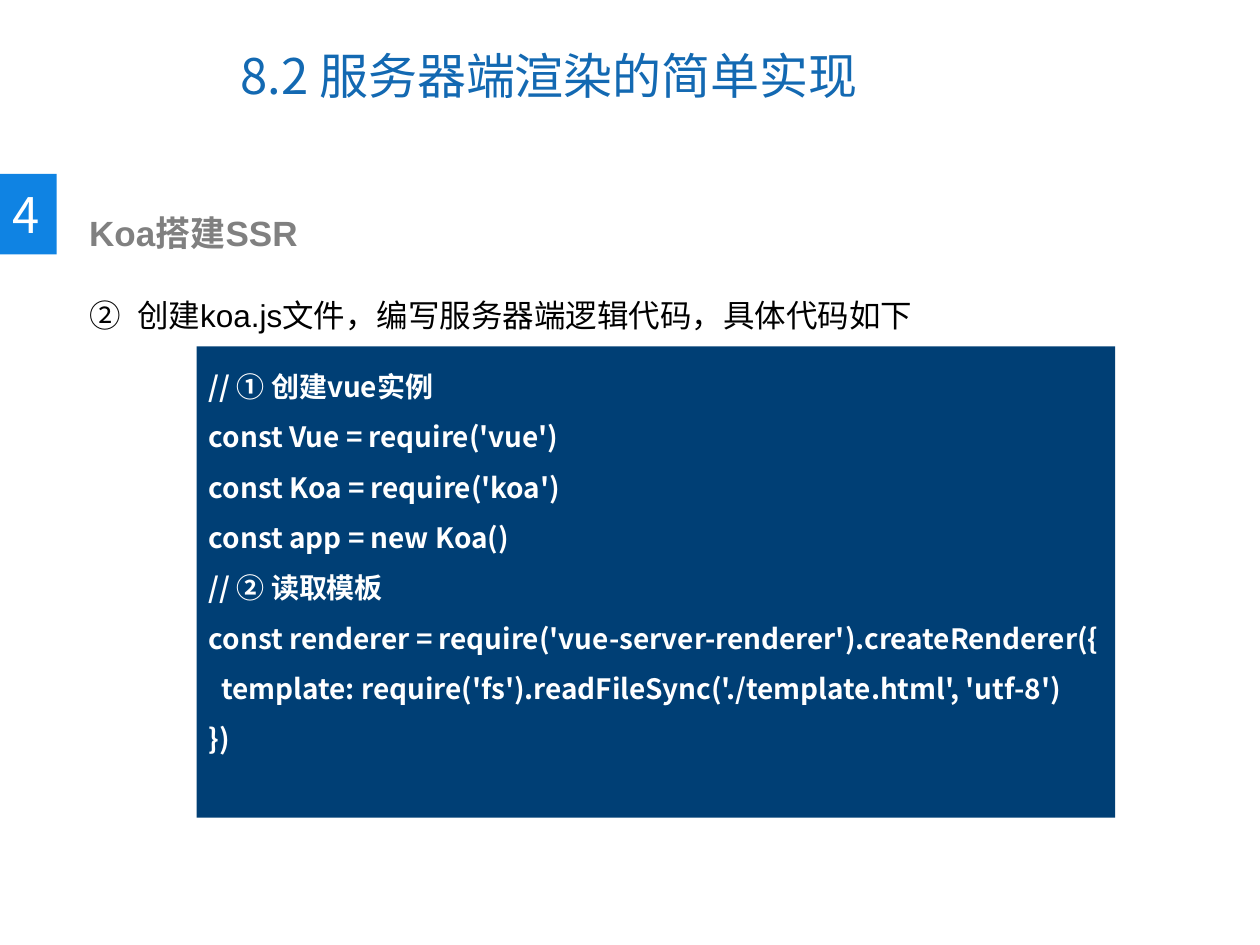
from dataclasses import dataclass

from lxml.etree import SubElement
from pptx import Presentation
from pptx.dml.color import RGBColor
from pptx.enum.shapes import MSO_SHAPE
from pptx.enum.text import MSO_ANCHOR, PP_ALIGN
from pptx.oxml.ns import qn
from pptx.util import Inches, Pt


@dataclass(frozen=True)
class Theme:
    sans: str = "Arial"
    cjk: str = "Noto Sans CJK SC"
    title: str = "1369B2"
    badge: str = "0F83E3"
    heading: str = "808080"
    body: str = "000000"
    code_bg: str = "003F75"
    white: str = "FFFFFF"
    title_pt: int = 28
    heading_pt: int = 20
    body_pt: int = 18
    code_pt: int = 16


@dataclass(frozen=True)
class Style:
    font: str
    size: int
    color: str
    bold: bool = False
    spacing: float = 1.0


@dataclass(frozen=True)
class Box:
    left: float
    top: float
    width: float
    height: float
    fill: str = ""
    anchor: MSO_ANCHOR = MSO_ANCHOR.TOP


T = Theme()
TITLE = Style(T.cjk, T.title_pt, T.title)
BADGE = Style(T.cjk, T.title_pt, T.white)
HEADING = Style(T.sans, T.heading_pt, T.heading, bold=True)
STEP = Style(T.sans, T.body_pt, T.body, spacing=2.0)
CODE = Style(T.cjk, T.code_pt, T.white, bold=True, spacing=1.5)

CODE_LINES = [
    "// ① 创建vue实例",
    "const Vue = require('vue')",
    "const Koa = require('koa')",
    "const app = new Koa()",
    "// ② 读取模板",
    "const renderer = require('vue-server-renderer').createRenderer({",
    "template: require('fs').readFileSync('./template.html', 'utf-8')",
    "})",
]


def set_indent(p, left: float, first: float = 0) -> None:
    pPr = p._p.get_or_add_pPr()
    pPr.set("marL", str(Inches(left)))
    pPr.set("indent", str(Inches(first)))


def number_circled(p, start: int) -> None:
    set_indent(p, 0.38, -0.38)
    bullet = SubElement(p._p.get_or_add_pPr(), qn("a:buAutoNum"))
    bullet.set("type", "circleNumDbPlain")
    bullet.set("startAt", str(start))


def add_block(s, box: Box, lines: list[str], style: Style):
    """Add a text box, or a filled rectangle when the box has a fill."""
    at = [Inches(v) for v in (box.left, box.top, box.width, box.height)]
    if box.fill:
        sp = s.shapes.add_shape(MSO_SHAPE.RECTANGLE, *at)
        sp.shadow.inherit = False
        sp.fill.solid()
        sp.fill.fore_color.rgb = RGBColor.from_string(box.fill)
        sp.line.fill.background()
    else:
        sp = s.shapes.add_textbox(*at)
    tf = sp.text_frame
    tf.word_wrap = True
    tf.vertical_anchor = box.anchor
    for i, line in enumerate(lines):
        p = tf.add_paragraph() if i else tf.paragraphs[0]
        p.alignment = PP_ALIGN.LEFT
        p.line_spacing = style.spacing
        r = p.add_run()
        r.text = line
        r.font.name = style.font
        r.font.size = Pt(style.size)
        r.font.bold = style.bold
        r.font.color.rgb = RGBColor.from_string(style.color)
        SubElement(r._r.get_or_add_rPr(), qn("a:ea")).set("typeface", T.cjk)
    return tf


def main() -> None:
    prs = Presentation()
    prs.slide_width, prs.slide_height = Inches(10), Inches(7.5)
    s = prs.slides.add_slide(prs.slide_layouts[6])

    # Title
    add_block(s, Box(1.81, 0.17, 5.16, 0.85, anchor=MSO_ANCHOR.MIDDLE),
              ["8.2 服务器端渲染的简单实现"], TITLE)

    # Numbered section heading
    add_block(s, Box(0, 1.38, 0.45, 0.64, T.badge, MSO_ANCHOR.MIDDLE),
              ["4"], BADGE)
    add_block(s, Box(0.61, 1.63, 5, 0.44), ["Koa搭建SSR"], HEADING)

    # Step
    tf = add_block(s, Box(0.61, 2, 8.82, 0.61),
                   ["创建koa.js文件，编写服务器端逻辑代码，具体代码如下"], STEP)
    number_circled(tf.paragraphs[0], 2)

    # Code panel, with the renderer option indented
    tf = add_block(s, Box(1.56, 2.75, 7.29, 3.74, T.code_bg), CODE_LINES, CODE)
    set_indent(tf.paragraphs[6], 0.1)

    prs.save("out.pptx")


if __name__ == "__main__":
    main()
